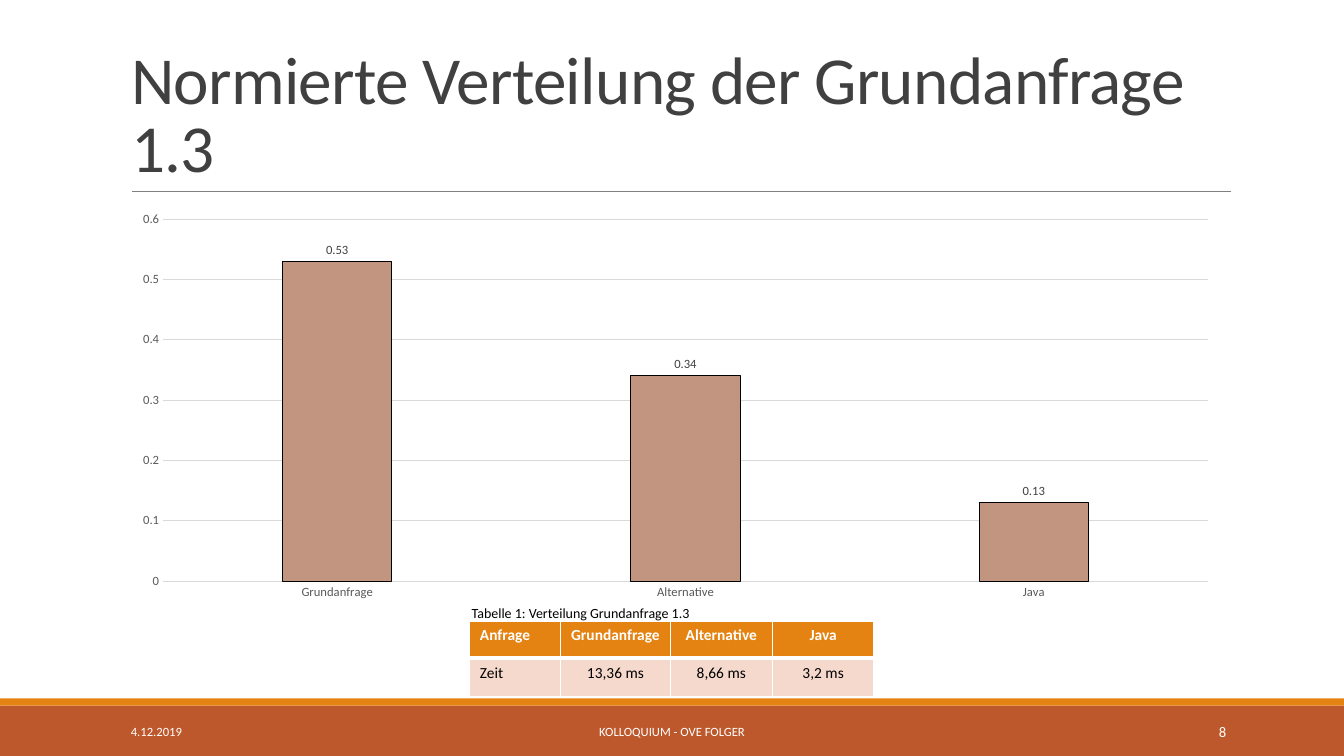
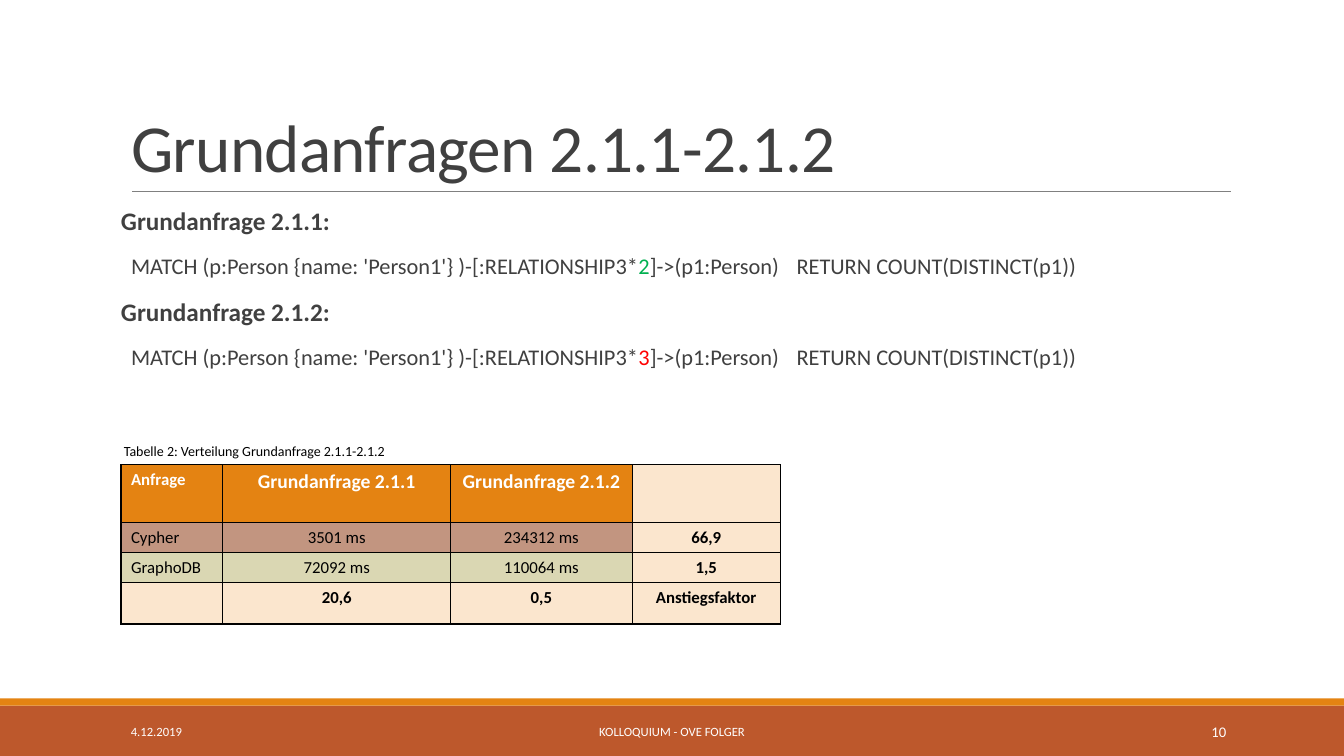
import lxml.etree
import pptx
import pptx.chart.data
import pptx.dml.color
import pptx.enum.chart
import pptx.enum.shapes
import pptx.enum.text
import pptx.oxml.ns
import pptx.util

RGBColor = pptx.dml.color.RGBColor
PP_ALIGN = pptx.enum.text.PP_ALIGN
MSO_ANCHOR = pptx.enum.text.MSO_ANCHOR
qn = pptx.oxml.ns.qn

WHITE = RGBColor(0xFF, 0xFF, 0xFF)
BLACK = RGBColor(0x00, 0x00, 0x00)
RUST = RGBColor(0xBD, 0x58, 0x2C)
ORANGE = RGBColor(0xE4, 0x83, 0x12)
TEXT = RGBColor(0x40, 0x40, 0x40)
AXIS_TEXT = RGBColor(0x59, 0x59, 0x59)
RULE = RGBColor(0x80, 0x80, 0x80)
GRID = RGBColor(0xD9, 0xD9, 0xD9)
BROWN = RGBColor(0xC2, 0x95, 0x80)
OLIVE = RGBColor(0xDA, 0xD7, 0xB3)
CREAM = RGBColor(0xFB, 0xE6, 0xCE)
ROSE = RGBColor(0xF5, 0xD9, 0xCC)
GREEN = RGBColor(0x00, 0xB0, 0x50)
RED = RGBColor(0xFF, 0x00, 0x00)

FONT = "Calibri"
SLIDE_W, SLIDE_H = 1333, 750
TITLE_BOX = (120, 31, 1100, 159)
CONTENT_X, CONTENT_Y, CONTENT_W = 120, 202, 1100
FOOTER_BOX = (0, 693, SLIDE_W, 57)


def px(n):
    """Scale: 100 px to the inch."""
    return pptx.util.Emu(n * 9144)


def place(sp, box):
    sp.left, sp.top, sp.width, sp.height = map(px, box)


def style_font(font, size, color, bold=False):
    font.name = FONT
    font.size = pptx.util.Pt(size)
    font.bold = bold
    font.color.rgb = color


def add_xml(parent, tag, **attrs):
    el = lxml.etree.SubElement(parent, qn(tag))
    for key, value in attrs.items():
        el.set(key, str(value))
    return el


def add_text(slide, box, text, size, color, align=PP_ALIGN.LEFT, anchor=MSO_ANCHOR.TOP):
    sp = slide.shapes.add_textbox(*map(px, box))
    tf = sp.text_frame
    tf.word_wrap = True
    tf.vertical_anchor = anchor
    p = tf.paragraphs[0]
    p.text = text
    p.alignment = align
    style_font(p.font, size, color)


def add_band(slide, box, color):
    sp = slide.shapes.add_shape(pptx.enum.shapes.MSO_SHAPE.RECTANGLE, *map(px, box))
    sp.shadow.inherit = False
    sp.fill.solid()
    sp.fill.fore_color.rgb = color
    sp.line.fill.background()


def add_footer(slide, box, number):
    x, y, w, h = box
    strip = 7
    add_band(slide, (x, y + strip, w, h - strip), RUST)
    add_band(slide, (x, y, w, strip), ORANGE)
    for left, width, text, size, align in (
        (120, 270, "4.12.2019", 9, PP_ALIGN.LEFT),
        (403, 527, "KOLLOQUIUM - OVE FOLGER", 9, PP_ALIGN.CENTER),
        (1083, 143, number, 10.5, PP_ALIGN.RIGHT),
    ):
        add_text(slide, (x + left, y + 13, width, 40), text, size, WHITE, align, MSO_ANCHOR.MIDDLE)


def add_title(slide, box, text):
    x, y, w, h = box
    sp = slide.shapes.title
    place(sp, box)
    tf = sp.text_frame
    tf.auto_size = pptx.enum.text.MSO_AUTO_SIZE.NONE
    tf.vertical_anchor = MSO_ANCHOR.BOTTOM
    p = tf.paragraphs[0]
    p.text = text
    p.alignment = PP_ALIGN.LEFT
    p.line_spacing = 0.85
    style_font(p.font, 48, TEXT)
    p._p.pPr.find(qn("a:defRPr")).set("spc", "-50")

    # Rule under the title
    line = slide.shapes.add_connector(
        pptx.enum.shapes.MSO_CONNECTOR.STRAIGHT,
        px(x + 11), px(y + h), px(x + w + 1), px(y + h))
    line.line.color.rgb = RULE
    line.line.width = pptx.util.Pt(0.5)
    add_xml(line._element.spPr, "a:effectLst")


def new_slide(prs, layout, title, number):
    slide = prs.slides.add_slide(prs.slide_layouts.get_by_name(layout))
    add_footer(slide, FOOTER_BOX, number)
    add_title(slide, TITLE_BOX, title)
    return slide


def add_bar_chart(slide, box, values):
    data = pptx.chart.data.CategoryChartData()
    data.categories = list(values)
    data.add_series("Series 1", list(values.values()))
    chart = slide.shapes.add_chart(
        pptx.enum.chart.XL_CHART_TYPE.COLUMN_CLUSTERED, *map(px, box), data).chart
    chart.has_legend = False
    chart.has_title = False
    style_font(chart.font, 10, BLACK)

    # Axes
    for axis in (chart.category_axis, chart.value_axis):
        axis.major_tick_mark = pptx.enum.chart.XL_TICK_MARK.NONE
        axis.minor_tick_mark = pptx.enum.chart.XL_TICK_MARK.NONE
        style_font(axis.tick_labels.font, 9, AXIS_TEXT)
    value_axis = chart.value_axis
    value_axis.minimum_scale, value_axis.maximum_scale = 0, 0.6
    value_axis.major_unit = 0.1
    value_axis.format.line.fill.background()
    for line in (chart.category_axis.format.line, value_axis.major_gridlines.format.line):
        line.color.rgb = GRID
        line.width = pptx.util.Pt(0.75)

    # Bars and labels
    plot = chart.plots[0]
    plot.gap_width, plot.overlap = 219, -27
    plot.vary_by_categories = False
    bars = plot.series[0].format
    bars.fill.solid()
    bars.fill.fore_color.rgb = BROWN
    bars.line.color.rgb = BLACK
    bars.line.width = pptx.util.Pt(0.75)
    plot.has_data_labels = True
    labels = plot.data_labels
    labels.show_value = True
    labels.number_format = "0.00"
    labels.number_format_is_linked = False
    labels.position = pptx.enum.chart.XL_LABEL_POSITION.OUTSIDE_END
    style_font(labels.font, 9, TEXT)


def set_borders(cell, color, bottom):
    tcPr = cell._tc.get_or_add_tcPr()
    for side, width in (("L", 1), ("R", 1), ("T", 1), ("B", bottom)):
        ln = add_xml(tcPr, "a:ln" + side, w=pptx.util.Pt(width))
        add_xml(add_xml(ln, "a:solidFill"), "a:srgbClr", val=color)


def add_table(slide, x, y, widths, heights, rows, cell_look, border, header_bottom=1):
    """cell_look(row, column) gives fill, font size, font colour and bold."""
    table = slide.shapes.add_table(
        len(rows), len(widths), px(x), px(y), px(sum(widths)), px(sum(heights))).table
    table.first_row = table.horz_banding = False
    for column, width in zip(table.columns, widths):
        column.width = px(width)
    for i, (row, height) in enumerate(zip(rows, heights)):
        table.rows[i].height = px(height)
        for j, text in enumerate(row):
            cell = table.cell(i, j)
            set_borders(cell, border, 1 if i else header_bottom)
            fill, size, color, bold = cell_look(i, j)
            cell.fill.solid()
            cell.fill.fore_color.rgb = fill
            p = cell.text_frame.paragraphs[0]
            p.text = text
            if j:
                p.alignment = PP_ALIGN.CENTER
                cell.margin_left = cell.margin_right = px(7)
            style_font(p.font, size, color, bold)


def add_queries(slide, box, queries):
    """Body list: a bold heading and a query with one coloured depth each."""
    sp = slide.placeholders[1]
    place(sp, box)
    tf = sp.text_frame
    tf.auto_size = pptx.enum.text.MSO_AUTO_SIZE.NONE
    tf.margin_left = tf.margin_right = 0

    def next_paragraph(indent):
        p = tf.add_paragraph() if tf.paragraphs[0].runs else tf.paragraphs[0]
        p.line_spacing = 0.9
        p.space_before, p.space_after = pptx.util.Pt(12), pptx.util.Pt(2)
        pPr = p._p.get_or_add_pPr()
        pPr.set("marL", str(px(indent)))
        pPr.set("indent", str(px(-indent)))
        return p, pPr

    for heading, depth, color in queries:
        p, pPr = next_paragraph(0)
        add_xml(pPr, "a:buNone")
        p.add_run().text = heading
        style_font(p.font, 18, TEXT, True)

        p, pPr = next_paragraph(10)
        add_xml(add_xml(pPr, "a:buClr"), "a:srgbClr", val=ORANGE)
        add_xml(pPr, "a:buChar", char=" ")
        add_xml(add_xml(pPr, "a:tabLst"), "a:tab", pos=px(670), algn="l")
        style_font(p.font, 16, TEXT)
        p.add_run().text = "MATCH (p:Person {name: 'Person1'} )-[:RELATIONSHIP3*"
        r = p.add_run()
        r.text = depth
        r.font.color.rgb = color
        p.add_run().text = "]->(p1:Person)\tRETURN COUNT(DISTINCT(p1))"


def distribution_slide(prs):
    slide = new_slide(prs, "Title Only", "Normierte Verteilung der Grundanfrage 1.3", "8")
    add_bar_chart(slide, (CONTENT_X, CONTENT_Y, CONTENT_W, 401),
                  {"Grundanfrage": 0.53, "Alternative": 0.34, "Java": 0.13})

    def look(i, j):
        return (ROSE, 11, BLACK, False) if i else (ORANGE, 11, WHITE, True)

    add_table(slide, 466, 616, (90, 109, 101, 101), (37, 38), (
        ("Anfrage", "Grundanfrage", "Alternative", "Java"),
        ("Zeit", "13,36 ms", "8,66 ms", "3,2 ms"),
    ), look, WHITE, header_bottom=3)
    add_text(slide, (458, 595, 241, 27), "Tabelle 1: Verteilung Grundanfrage 1.3", 10, BLACK)


def queries_slide(prs):
    slide = new_slide(prs, "Title and Content", "Grundanfragen 2.1.1-2.1.2", "10")
    add_queries(slide, (CONTENT_X, CONTENT_Y, CONTENT_W, 440), (
        ("Grundanfrage 2.1.1:", "2", GREEN),
        ("Grundanfrage 2.1.2:", "3", RED),
    ))

    def look(i, j):
        if i == 3 or j == 3:  # growth factors
            return CREAM, 12, BLACK, True
        if i == 0:
            return ORANGE, 14 if j else 12, WHITE, True
        return (BROWN, OLIVE)[i - 1], 12, BLACK, False

    add_table(slide, CONTENT_X, 461, (101, 226, 180, 147), (57, 30, 30, 41), (
        ("Anfrage", "Grundanfrage 2.1.1", "Grundanfrage 2.1.2", ""),
        ("Cypher", "3501 ms", "234312 ms", "66,9"),
        ("GraphoDB", "72092 ms", "110064 ms", "1,5"),
        ("", "20,6", "0,5", "Anstiegsfaktor"),
    ), look, BLACK)
    add_text(slide, (113, 434, 285, 27), "Tabelle 2: Verteilung Grundanfrage 2.1.1-2.1.2", 10, BLACK)


def main():
    prs = pptx.Presentation()
    prs.slide_width, prs.slide_height = px(SLIDE_W), px(SLIDE_H)
    distribution_slide(prs)
    queries_slide(prs)
    prs.save("out.pptx")


if __name__ == "__main__":
    main()
